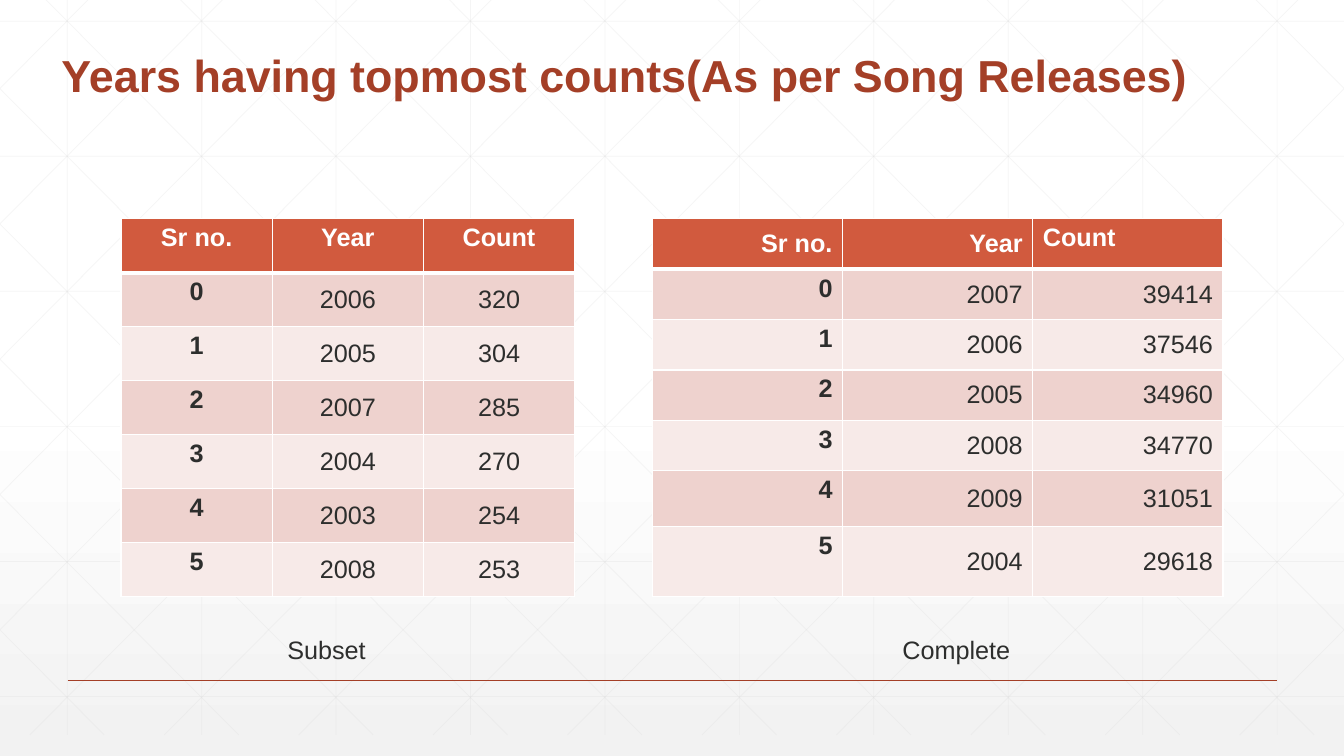
import pptx
import pptx.util
import pptx.dml.color
import pptx.enum.shapes
import pptx.enum.text
import pptx.oxml
import pptx.oxml.ns

Inches = pptx.util.Inches
Pt = pptx.util.Pt
ALIGN = pptx.enum.text.PP_ALIGN
ANCHOR = pptx.enum.text.MSO_ANCHOR

TITLE = "Years having topmost counts(As per Song Releases)"
HEADERS = ["Sr no.", "Year", "Count"]
TABLES = [
    {
        "caption": "Subset", "caption_left": 2.06, "caption_width": 2.24,
        "left": 1.2, "width": 4.5, "row_heights": [3.75 / 7] * 7,
        "align": ALIGN.CENTER,
        "header_aligns": [ALIGN.CENTER] * 3,
        "header_anchors": [ANCHOR.TOP] * 3,
        "rows": [("2006", "320"), ("2005", "304"), ("2007", "285"),
                 ("2004", "270"), ("2003", "254"), ("2008", "253")],
    },
    {
        "caption": "Complete", "caption_left": 8.16, "caption_width": 2.75,
        "left": 6.47, "width": 5.66, "row_heights": [0.5] * 5 + [0.55, 0.7],
        "align": ALIGN.RIGHT,
        "header_aligns": [ALIGN.RIGHT, ALIGN.RIGHT, ALIGN.LEFT],
        "header_anchors": [ANCHOR.MIDDLE, ANCHOR.MIDDLE, ANCHOR.TOP],
        "rows": [("2007", "39414"), ("2006", "37546"), ("2005", "34960"),
                 ("2008", "34770"), ("2009", "31051"), ("2004", "29618")],
    },
]
COLORS = {"white": "FFFFFF", "background_end": "F2F2F2", "grid": "D9D9D9",
          "accent": "A43F27", "header": "D15A3E", "text": "2D2E2D",
          "band_dark": "EED2CE", "band_light": "F7EAE8"}
SLIDE_WIDTH, SLIDE_HEIGHT = 13.33, 7.5
GRID_TOP, GRID_BOTTOM = -0.21, 7.29
GRID_STEP = 4 / 3
DIAGONAL_RUN = 7.45
TABLE_TOP = 2.17


def color(name):
    return pptx.dml.color.RGBColor.from_string(COLORS[name])


def write(frame, text, size, color_name, bold=False, align=None):
    paragraph = frame.paragraphs[0]
    paragraph.alignment = align
    run = paragraph.add_run()
    run.text = text
    settings = {"name": "Arial", "size": Pt(size), "bold": bold}
    for name, value in settings.items():
        setattr(run.font, name, value)
    run.font.color.rgb = color(color_name)
    return paragraph


def add_line(slide, start, end, color_name, width, opacity=None):
    points = [Inches(value) for value in (*start, *end)]
    line = slide.shapes.add_connector(
        pptx.enum.shapes.MSO_CONNECTOR.STRAIGHT, *points)
    line.line.color.rgb = color(color_name)
    line.line.width = Pt(width)
    properties = line.element.spPr
    pptx.oxml.ns.qn("a:effectLst")
    properties.append(properties.makeelement(pptx.oxml.ns.qn("a:effectLst"), {}))
    if opacity is not None:
        shade = properties.find(".//" + pptx.oxml.ns.qn("a:srgbClr"))
        alpha = shade.makeelement(pptx.oxml.ns.qn("a:alpha"),
                                  {"val": str(opacity * 1000)})
        shade.append(alpha)


def grid_lines():
    for index in range(10):
        x = GRID_STEP * (index + 0.5)
        yield (x, GRID_TOP), (x, GRID_BOTTOM)
    for index in range(6):
        y = 0.21 + 1.34 * index
        yield (0, y), (SLIDE_WIDTH, y)
    slope = (GRID_BOTTOM - GRID_TOP) / DIAGONAL_RUN
    for index in range(-5, 10):
        origin = 0.25 + GRID_STEP * index
        first = max(origin, 0)
        last = min(origin + DIAGONAL_RUN, SLIDE_WIDTH)
        top, bottom = [GRID_TOP + (x - origin) * slope for x in (first, last)]
        yield (first, top), (last, bottom)
        yield (SLIDE_WIDTH - first, top), (SLIDE_WIDTH - last, bottom)


def set_borders(cell, row):
    widths = {"L": 1, "R": 1, "T": 3 if row == 1 else 1,
              "B": 3 if row == 0 else 1}
    for position, (side, width) in enumerate(widths.items()):
        border = pptx.oxml.parse_xml(
            f'<a:ln{side} {pptx.oxml.ns.nsdecls("a")} w="{Pt(width)}">'
            f'<a:solidFill><a:srgbClr val="{COLORS["white"]}"/></a:solidFill>'
            f'</a:ln{side}>')
        cell._tc.get_or_add_tcPr().insert(position, border)


def add_count_table(slide, content):
    rows = [HEADERS] + [(str(index), *values)
                        for index, values in enumerate(content["rows"])]
    frame = slide.shapes.add_table(
        len(rows), len(HEADERS), Inches(content["left"]), Inches(TABLE_TOP),
        Inches(content["width"]), Inches(sum(content["row_heights"])))
    table = frame.table
    table.horz_banding = False
    for column in table.columns:
        column.width = Inches(content["width"] / len(HEADERS))
    for row, values in enumerate(rows):
        table.rows[row].height = Inches(content["row_heights"][row])
        for column, text in enumerate(values):
            cell = table.cell(row, column)
            if row == 0:
                fill, font_color = "header", "white"
                align = content["header_aligns"][column]
                anchor = content["header_anchors"][column]
            else:
                fill = "band_dark" if row % 2 else "band_light"
                font_color = "text"
                align = content["align"]
                anchor = ANCHOR.MIDDLE if column else ANCHOR.TOP
            cell.fill.solid()
            cell.fill.fore_color.rgb = color(fill)
            cell.vertical_anchor = anchor
            bold = row == 0 or column == 0
            write(cell.text_frame, text, 18, font_color, bold, align)
            set_borders(cell, row)


def add_caption(slide, content):
    box = slide.shapes.add_textbox(
        Inches(content["caption_left"]), Inches(6.24),
        Inches(content["caption_width"]), Inches(0.4))
    box.text_frame.word_wrap = True
    box.text_frame.margin_left = Inches(0.79)
    write(box.text_frame, content["caption"], 18, "text")


def add_title(slide):
    title = slide.shapes.title
    title.element.getparent().append(title.element)
    place = {"left": 0.51, "top": -0.19, "width": 11.68, "height": 1.25}
    for name, value in place.items():
        setattr(title, name, Inches(value))
    frame = title.text_frame
    settings = {"word_wrap": True, "vertical_anchor": ANCHOR.BOTTOM,
                "auto_size": pptx.enum.text.MSO_AUTO_SIZE.NONE}
    for name, value in settings.items():
        setattr(frame, name, value)
    paragraph = write(frame, TITLE, 32, "accent", True, ALIGN.LEFT)
    paragraph.line_spacing = 0.9


def main():
    presentation = pptx.Presentation()
    presentation.slide_width = Inches(SLIDE_WIDTH)
    presentation.slide_height = Inches(SLIDE_HEIGHT)
    slide = presentation.slides.add_slide(presentation.slide_layouts[5])
    fill = slide.background.fill
    fill.gradient()
    fill.gradient_angle = 270
    stops = [(0.53, "white"), (1, "background_end")]
    for stop, (position, name) in zip(fill.gradient_stops, stops):
        stop.position = position
        stop.color.rgb = color(name)
    for start, end in grid_lines():
        add_line(slide, start, end, "grid", 0.5, 25)
    add_line(slide, (0.67, 6.75), (12.67, 6.75), "accent", 1)
    add_title(slide)
    for content in TABLES:
        add_count_table(slide, content)
    for content in TABLES:
        add_caption(slide, content)
    presentation.save("out.pptx")


if __name__ == "__main__":
    main()
